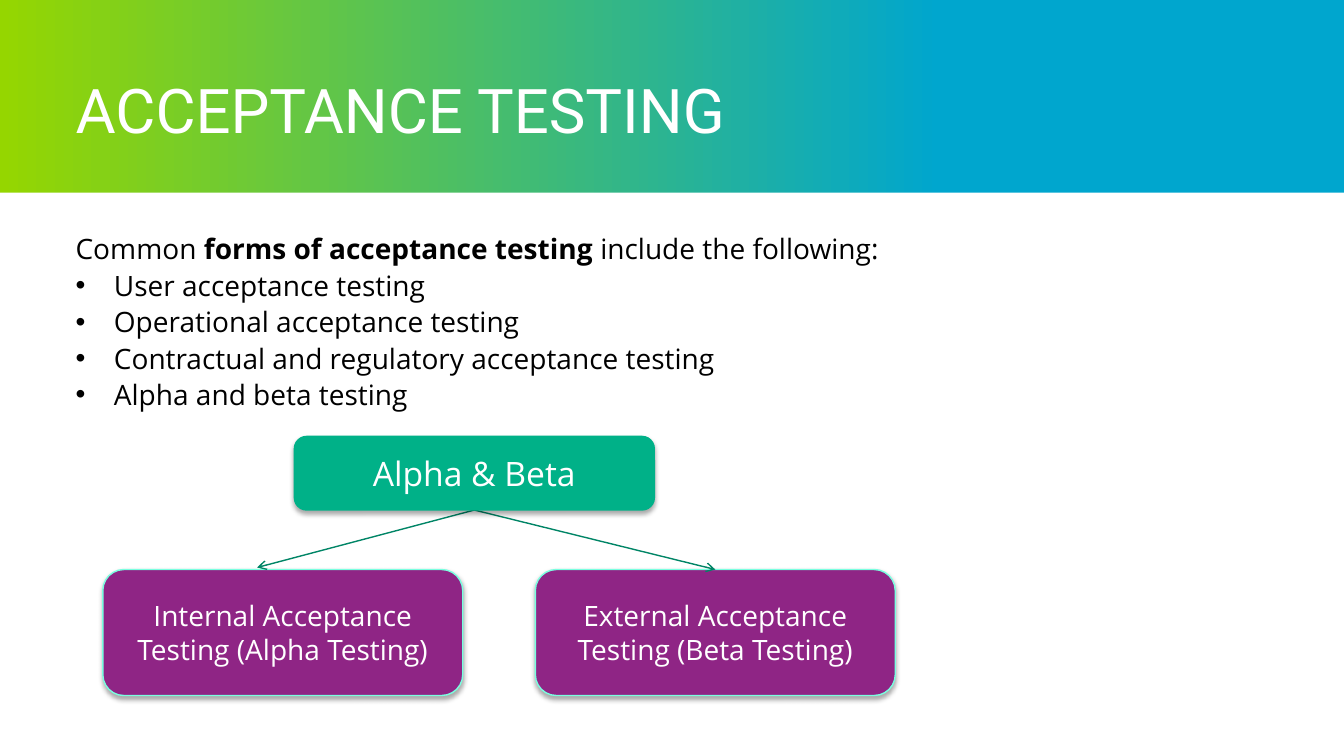
from dataclasses import dataclass

from lxml import etree
from pptx import Presentation
from pptx.dml.color import RGBColor
from pptx.enum.shapes import MSO_CONNECTOR, MSO_SHAPE
from pptx.enum.text import MSO_ANCHOR, MSO_AUTO_SIZE, PP_ALIGN
from pptx.oxml.ns import qn
from pptx.util import Inches, Pt

RECT, ROUNDED = MSO_SHAPE.RECTANGLE, MSO_SHAPE.ROUNDED_RECTANGLE
STRAIGHT = MSO_CONNECTOR.STRAIGHT
TOP, MIDDLE = MSO_ANCHOR.TOP, MSO_ANCHOR.MIDDLE
LEFT, CENTER = PP_ALIGN.LEFT, PP_ALIGN.CENTER
NO_FIT = MSO_AUTO_SIZE.NONE
SITE_TOP, SITE_BOTTOM = 0, 2


@dataclass(frozen=True)
class Theme:
    heading_font: str = "Roboto"
    body_font: str = "Open Sans"
    title_size: int = 44
    root_size: int = 24
    body_size: int = 20
    black: str = "000000"
    white: str = "FFFFFF"
    blue: str = "00A6CE"
    lime: str = "95D600"
    green: str = "00B188"
    dark_green: str = "008566"
    purple: str = "8F2585"
    mint: str = "7AFFE0"


def rgb(value):
    return RGBColor.from_string(value)


def add_xml(parent, tag, **attrs):
    return etree.SubElement(parent, qn(tag), attrs)


class SlideBuilder:
    def __init__(self, prs, theme):
        self.theme = theme
        self.s = prs.slides.add_slide(prs.slide_layouts[5])
        fill = self.s.background.fill
        fill.solid()
        fill.fore_color.rgb = rgb(theme.black)

    def font(self, p, size, color, name=None):
        p.font.name = name or self.theme.body_font
        p.font.size = Pt(size)
        p.font.color.rgb = rgb(color)

    def frame(self, sp):
        tf = sp.text_frame
        tf.word_wrap = True
        tf.auto_size = NO_FIT
        tf.margin_left = 0
        return tf

    def shape(self, kind, x, y, w, h, color, line=None):
        sp = self.s.shapes.add_shape(kind, Inches(x), Inches(y), Inches(w), Inches(h))
        sp.shadow.inherit = False
        sp.fill.solid()
        sp.fill.fore_color.rgb = rgb(color)
        if line:
            sp.line.color.rgb = rgb(line)
            sp.line.width = Pt(1)
        else:
            sp.line.fill.background()
        return sp

    def gradient_band(self, x, y, w, h, colors, positions):
        sp = self.shape(RECT, x, y, w, h, colors[0])
        sp.fill.gradient()
        sp.fill.gradient_angle = 180
        for stop, color, position in zip(sp.fill.gradient_stops, colors, positions):
            stop.color.rgb = rgb(color)
            stop.position = position

    def title(self, text, x, y, w, h):
        sp = self.s.shapes.title
        sp.left, sp.top, sp.width, sp.height = map(Inches, (x, y, w, h))
        tf = self.frame(sp)
        tf.vertical_anchor = MIDDLE
        p = tf.paragraphs[0]
        p.text = text
        p.alignment = LEFT
        p.line_spacing = 0.9
        self.font(p, self.theme.title_size, self.theme.white, self.theme.heading_font)
        # Bring the title in front of the bands
        sp.element.getparent().append(sp.element)

    def bullet_text(self, intro, bullets, x, y, w, h):
        sp = self.s.shapes.add_textbox(Inches(x), Inches(y), Inches(w), Inches(h))
        tf = self.frame(sp)
        tf.vertical_anchor = TOP
        for text, bold in intro:
            r = tf.paragraphs[0].add_run()
            r.text = text
            r.font.bold = bold
        for text in bullets:
            p = tf.add_paragraph()
            p.text = text
            pPr = p._p.get_or_add_pPr()
            pPr.set("marL", str(Inches(0.38)))
            pPr.set("indent", str(Inches(-0.38)))
            add_xml(pPr, "a:buFont", typeface="Arial")
            add_xml(pPr, "a:buChar", char="•")
        for p in tf.paragraphs:
            p.space_before = Pt(2)
            self.font(p, self.theme.body_size, self.theme.black)

    def box(self, text, x, y, w, h, color, line, size):
        sp = self.shape(ROUNDED, x, y, w, h, color, line)
        effects = sp.element.spPr.find(qn("a:effectLst"))
        shadow = add_xml(effects, "a:outerShdw", blurRad=str(Pt(3.5)), dist=str(Pt(2.2)),
                         dir="5400000", rotWithShape="0")
        tint = add_xml(shadow, "a:srgbClr", val=self.theme.black)
        add_xml(tint, "a:alpha", val="32000")
        tf = sp.text_frame
        tf.word_wrap = True
        tf.vertical_anchor = MIDDLE
        p = tf.paragraphs[0]
        p.text = text
        p.alignment = CENTER
        self.font(p, size, self.theme.white)
        return sp

    def arrow(self, x1, y1, x2, y2, color, start, end=None):
        cn = self.s.shapes.add_connector(STRAIGHT, Inches(x1), Inches(y1), Inches(x2), Inches(y2))
        cn.begin_connect(start, SITE_BOTTOM)
        if end is not None:
            cn.end_connect(end, SITE_TOP)
        cn.line.color.rgb = rgb(color)
        cn.line.width = Pt(1)
        add_xml(cn.line._get_or_add_ln(), "a:tailEnd", type="arrow")
        add_xml(cn.element.spPr, "a:effectLst")


def main():
    prs = Presentation()
    prs.slide_width, prs.slide_height = Inches(13.33), Inches(7.5)
    t = Theme()
    b = SlideBuilder(prs, t)

    # Header band, white page and title
    b.gradient_band(0, 0, 13.33, 7.5, (t.blue, t.lime), (0.3, 1))
    b.shape(RECT, 0, 1.91, 13.33, 5.59, t.white)
    b.title("ACCEPTANCE TESTING", 0.75, 0.75, 11.83, 0.75)

    # Introduction and list
    b.bullet_text(
        [("Common ", False), ("forms of acceptance testing ", True),
         ("include the following:", False)],
        ["User acceptance testing", "Operational acceptance testing",
         "Contractual and regulatory acceptance testing", "Alpha and beta testing"],
        0.75, 2.25, 11.83, 3.75)

    # Tree boxes
    box_w = 3.57
    alpha, beta = [
        b.box(text, x, 5.65, box_w, 1.25, t.purple, t.mint, t.body_size)
        for text, x in (("Internal Acceptance Testing (Alpha Testing)", 1.02),
                        ("External Acceptance Testing (Beta Testing)", 5.31))]
    root = b.box("Alpha & Beta", 2.92, 4.33, box_w, 0.73, t.green, t.green, t.root_size)

    # Arrows, with the root box kept in front
    b.arrow(4.7, 5.06, 2.55, 5.63, t.dark_green, root)
    b.arrow(4.7, 5.06, 7.12, 5.63, t.dark_green, root, beta)
    root.element.getparent().append(root.element)

    prs.save("out.pptx")


if __name__ == "__main__":
    main()
